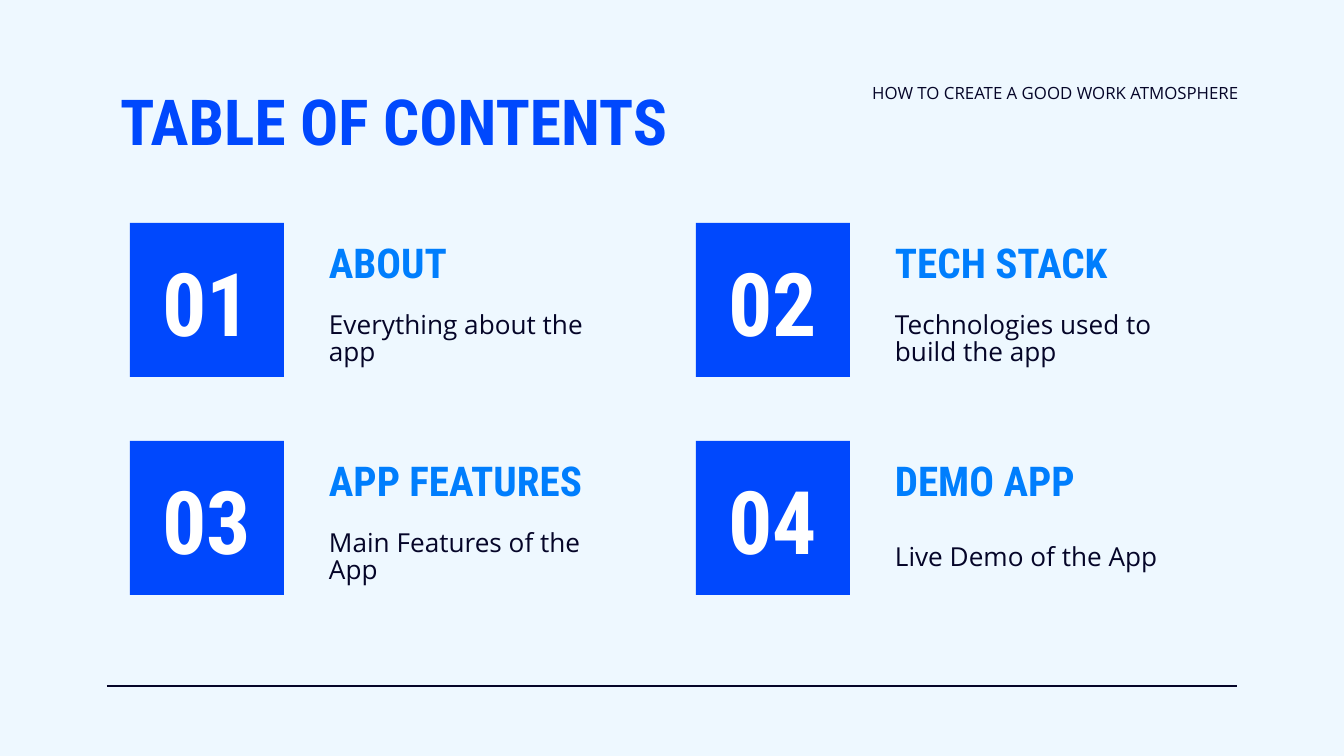
import pptx
import pptx.util
import pptx.dml.color
import pptx.enum.shapes
import pptx.enum.text
import pptx.oxml.ns
from lxml import etree

RGBColor = pptx.dml.color.RGBColor
ALIGN = pptx.enum.text.PP_ALIGN
ANCHOR = pptx.enum.text.MSO_ANCHOR

BACKGROUND = RGBColor(0xEE, 0xF8, 0xFF)
BLUE = RGBColor(0x00, 0x48, 0xFD)
SKY = RGBColor(0x00, 0x7E, 0xFD)
INK = RGBColor(0x05, 0x05, 0x28)
WHITE = RGBColor(0xFF, 0xFF, 0xFF)
HEADING_FONT = "Roboto Condensed"
BODY_FONT = "Open Sans"

EMU_PER_PX = 914400 / 134.4
GRID_LEFT, GRID_TOP = 130, 223
COLUMN_STEP, ROW_STEP = 566, 218
TILE = 154
TEXT_OFFSET, TEXT_WIDTH, TEXT_HEIGHT = 186, 331, 78

SECTIONS = [
    ("ABOUT", "Everything about the app"),
    ("TECH STACK", "Technologies used to build the app"),
    ("APP FEATURES", "Main Features of the App"),
    ("DEMO APP", "Live Demo of the App"),
]


def px(n):
    """Turn pixels into EMU."""
    return pptx.util.Emu(round(n * EMU_PER_PX))


def write(s, text, size, color, font=HEADING_FONT, align=ALIGN.LEFT,
          anchor=ANCHOR.MIDDLE, top_inset=13):
    """Fill a shape with one formatted paragraph and return it."""
    tf = s.text_frame
    tf.word_wrap = True
    tf.auto_size = pptx.enum.text.MSO_AUTO_SIZE.NONE
    tf.vertical_anchor = anchor
    tf.margin_left = tf.margin_right = tf.margin_bottom = px(13)
    tf.margin_top = px(top_inset)
    p = tf.paragraphs[0]
    p.text = text
    p.alignment = align
    p.space_before = pptx.util.Pt(0)
    p.font.name = font
    p.font.size = pptx.util.Pt(size)
    p.font.bold = font == HEADING_FONT
    p.font.color.rgb = color
    return p


def add_text(slide, box, text, size, color, **style):
    """Add a text box at the pixel box and return its paragraph."""
    s = slide.shapes.add_textbox(*map(px, box))
    return write(s, text, size, color, **style)


def add_title(slide, box, text):
    """Place and format the title placeholder."""
    s = slide.shapes.title
    s.left, s.top, s.width, s.height = map(px, box)
    write(s, text, 34, BLUE, anchor=ANCHOR.TOP)


def add_rule(slide, left, right, y):
    """Draw a thin horizontal line."""
    s = slide.shapes.add_connector(
        pptx.enum.shapes.MSO_CONNECTOR.STRAIGHT,
        px(left), px(y), px(right), px(y))
    s.line.color.rgb = INK
    s.line.width = pptx.util.Pt(0.75)
    etree.SubElement(s.element.spPr, pptx.oxml.ns.qn("a:effectLst"))


def add_number_tile(slide, left, top, number):
    """Draw a blue square with a section number."""
    s = slide.shapes.add_shape(
        pptx.enum.shapes.MSO_SHAPE.RECTANGLE,
        px(left), px(top), px(TILE), px(TILE))
    s.shadow.inherit = False
    s.fill.solid()
    s.fill.fore_color.rgb = BLUE
    s.line.fill.background()
    write(s, f"{number:02}", 47, WHITE, align=ALIGN.CENTER, top_inset=16)


def add_section(slide, index, heading, summary):
    """Add one contents entry in its cell of the grid."""
    row, column = divmod(index, 2)
    left = GRID_LEFT + column * COLUMN_STEP
    top = GRID_TOP + row * ROW_STEP
    add_number_tile(slide, left, top, index + 1)
    text_left = left + TEXT_OFFSET
    add_text(slide, (text_left, top, TEXT_WIDTH, TEXT_HEIGHT),
             heading, 22, SKY)
    p = add_text(slide, (text_left, top + TEXT_HEIGHT, TEXT_WIDTH, TEXT_HEIGHT),
                 summary, 14, INK, font=BODY_FONT)
    p.line_spacing = 0.87


def main():
    """Build the contents slide."""
    prs = pptx.Presentation()
    prs.slide_width, prs.slide_height = px(1344), px(756)
    slide = prs.slides.add_slide(prs.slide_layouts.get_by_name("Title Only"))
    slide.background.fill.solid()
    slide.background.fill.fore_color.rgb = BACKGROUND
    add_rule(slide, 107, 1237, 686)
    add_title(slide, (107, 69, 1133, 85), "TABLE OF CONTENTS")
    for index, (heading, summary) in enumerate(SECTIONS):
        add_section(slide, index, heading, summary)
    add_text(slide, (852, 70, 399, 46), "HOW TO CREATE A GOOD WORK ATMOSPHERE",
             9, INK, font=BODY_FONT, align=ALIGN.RIGHT, anchor=ANCHOR.TOP)
    prs.save("out.pptx")


main()
